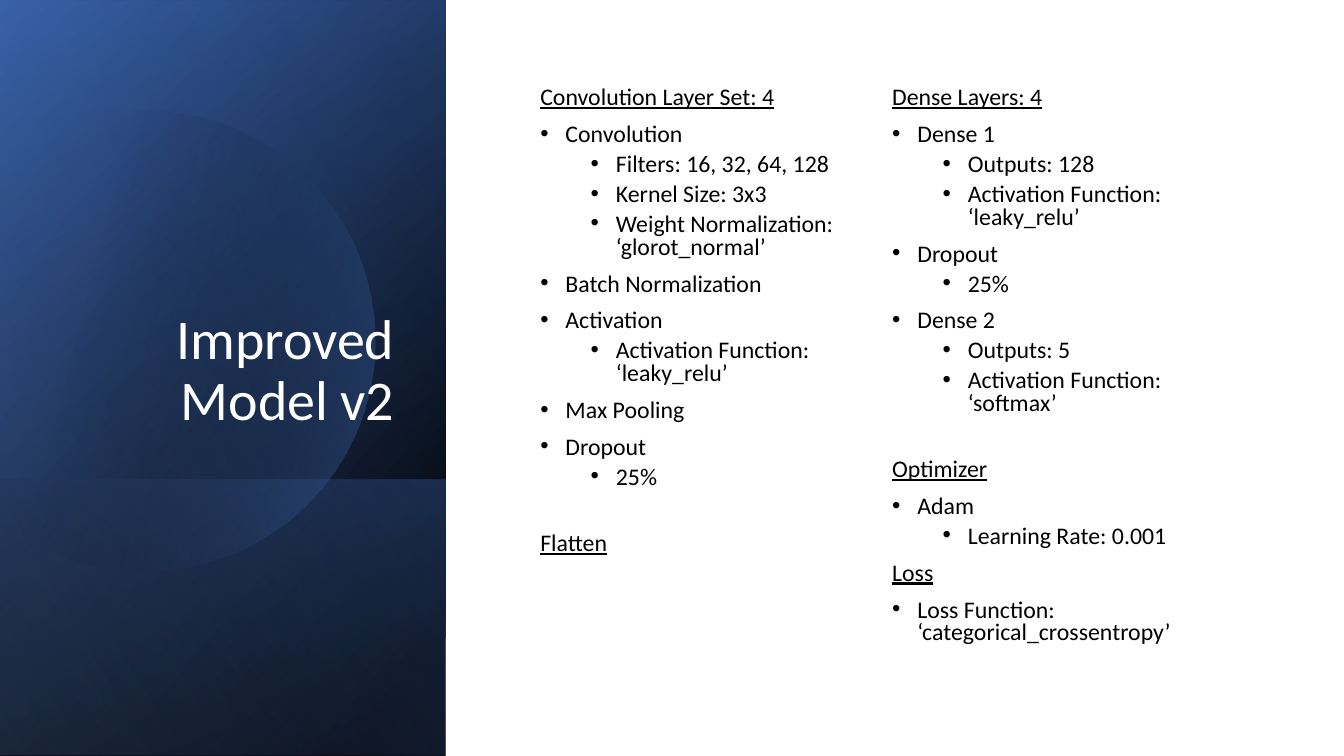
import pptx
import pptx.util
import pptx.dml.color
import pptx.enum.shapes
import pptx.enum.text
import pptx.oxml
import pptx.oxml.ns

Inches = pptx.util.Inches
Pt = pptx.util.Pt
ANCHOR = pptx.enum.text.MSO_ANCHOR
ALIGN = pptx.enum.text.PP_ALIGN
RECT = pptx.enum.shapes.MSO_SHAPE.RECTANGLE

HUES = {"white": "FFFFFF", "black": "000000", "navy": "2F5597",
        "blue": "4472C4", "pale": "8FAADC"}

# Paragraph formats by kind: heading, item, sub-item
STYLES = {
    "head": {"space_before": Pt(10), "line_spacing": 0.8},
    "item": {"space_before": Pt(10), "line_spacing": 0.8},
    "sub": {"space_before": Pt(5), "line_spacing": 0.8, "level": 1},
}
INDENTS = {"item": 0.25, "sub": 0.75}
GAP = Pt(31)  # space above a heading that starts a new group

# Panel layers: left, top, width, height, angle, stops (place, hue, opacity)
LAYERS = [
    (-1.54, 1.54, 7.5, 4.42, 50, [(8, "black", 100), (100, "navy", 100)]),
    (-1.54, 1.55, 7.5, 4.42, 30, [(0, "black", 0), (99, "blue", 46)]),
    (0.84, 3.92, 2.74, 4.42, 130, [(2, "blue", 29), (100, "black", 30)]),
]
SHEEN = (-1.54, 1.53, 7.5, 4.42, 120, [(0, "black", 0), (99, "pale", 11)])

# Disc outline: start, then curves, then the straight left edge
START = (1.49, 1.1)
CURVES = [
    [(2.46, 1.12), (3.35, 1.77), (3.63, 2.75)],
    [(3.98, 3.97), (3.28, 5.23), (2.07, 5.58)],
    [(1.31, 5.8), (0.53, 5.61), (-0.03, 5.14)],
    [(-0.08, 5.1), (-0.11, 5.07), (-0.15, 5.03)],
    [(-0.15, 4), (-0.15, 2.8), (-0.15, 1.75)],
    [(-0.1, 1.7), (-0.05, 1.66), (0, 1.61)],
    [(0.23, 1.42), (0.5, 1.28), (0.8, 1.19)],
    [(1.03, 1.13), (1.26, 1.1), (1.49, 1.1)],
]

LEFT = [
    ("head", "Convolution Layer Set: 4"),
    ("item", "Convolution"),
    ("sub", "Filters: 16, 32, 64, 128"),
    ("sub", "Kernel Size: 3x3"),
    ("sub", "Weight Normalization: ‘glorot_normal’"),
    ("item", "Batch Normalization"),
    ("item", "Activation"),
    ("sub", "Activation Function: ‘leaky_relu’"),
    ("item", "Max Pooling"),
    ("item", "Dropout"),
    ("sub", "25%"),
    ("head", "Flatten"),
]
RIGHT = [
    ("head", "Dense Layers: 4"),
    ("item", "Dense 1"),
    ("sub", "Outputs: 128"),
    ("sub", "Activation Function: ‘leaky_relu’"),
    ("item", "Dropout"),
    ("sub", "25%"),
    ("item", "Dense 2"),
    ("sub", "Outputs: 5"),
    ("sub", "Activation Function: ‘softmax’"),
    ("head", "Optimizer"),
    ("item", "Adam"),
    ("sub", "Learning Rate: 0.001"),
    ("head", "Loss"),
    ("item", "Loss Function: ‘categorical_crossentropy’"),
]


def apply(target, values):
    for name, value in values.items():
        setattr(target, name, value)


def color(name):
    return pptx.dml.color.RGBColor.from_string(HUES[name])


def blend(shape, angle, stops):
    """Fill a shape with a linear gradient that has see-through stops."""
    shape.shadow.inherit = False
    shape.line.fill.background()
    marks = "".join(
        f'<a:gs pos="{place * 1000}"><a:srgbClr val="{HUES[hue]}">'
        f'<a:alpha val="{alpha * 1000}"/></a:srgbClr></a:gs>'
        for place, hue, alpha in stops)
    fill = pptx.oxml.parse_xml(
        f'<a:gradFill {pptx.oxml.ns.nsdecls("a")} rotWithShape="1">'
        f'<a:gsLst>{marks}</a:gsLst>'
        f'<a:lin ang="{angle * 60000}" scaled="0"/></a:gradFill>')
    shape.fill.background()
    blank = shape.element.spPr.find(pptx.oxml.ns.qn("a:noFill"))
    blank.getparent().replace(blank, fill)


def layer(slide, left, top, width, height, angle, stops):
    box = map(Inches, (left, top, width, height))
    shape = slide.shapes.add_shape(RECT, *box)
    shape.rotation = 90
    shape.element.spPr.xfrm.set("flipH", "1")
    blend(shape, angle, stops)


def curve(first, second, third, last, steps=16):
    """Points along a cubic curve, without its first one."""
    for step in range(1, steps + 1):
        t = step / steps
        u = 1 - t
        yield tuple(Inches(u**3 * a + 3 * u * u * t * b + 3 * u * t * t * c + t**3 * d)
                    for a, b, c, d in zip(first, second, third, last))


def disc(slide):
    points, pen = [], START
    for bend in CURVES:
        points += curve(pen, *bend)
        pen = bend[-1]
    form = slide.shapes.build_freeform(*map(Inches, START))
    form.add_line_segments(points, close=True)
    blend(form.convert_to_shape(), 14, [(29, "black", 0), (100, "blue", 43)])


def frame(slide, box, anchor):
    text = slide.shapes.add_textbox(*map(Inches, box)).text_frame
    apply(text, {"word_wrap": True, "vertical_anchor": anchor})
    return text


def write(para, words, size, hue, under=False):
    run = para.add_run()
    run.text = words
    apply(run.font, {"name": "Calibri", "size": Pt(size), "underline": under})
    run.font.color.rgb = color(hue)


def bullet(para, indent):
    props = para._p.get_or_add_pPr()
    props.set("marL", str(Inches(indent)))
    props.set("indent", str(Inches(-0.25)))
    space = pptx.oxml.ns.nsdecls("a")
    props.append(pptx.oxml.parse_xml(f'<a:buFont {space} typeface="Arial"/>'))
    props.append(pptx.oxml.parse_xml(f'<a:buChar {space} char="•"/>'))


def column(slide, left, lines):
    text = frame(slide, (left, 0.82, 3.69, 5.96), ANCHOR.TOP)
    last = None
    for kind, words in lines:
        para = text.add_paragraph() if last else text.paragraphs[0]
        apply(para, STYLES[kind])
        if not last:
            para.space_before = Pt(0)
        elif kind == "head" and last == "sub" and words != "Loss":
            para.space_before = GAP
        if kind in INDENTS:
            bullet(para, INDENTS[kind])
        write(para, words, 17, "black", kind == "head")
        last = kind


def main():
    deck = pptx.Presentation()
    apply(deck, {"slide_width": Inches(13.33), "slide_height": Inches(7.5)})
    slide = deck.slides.add_slide(deck.slide_layouts[6])

    # Background
    fill = slide.background.fill
    fill.solid()
    fill.fore_color.rgb = color("white")

    # Blue side panel
    for spot in LAYERS:
        layer(slide, *spot)
    disc(slide)
    layer(slide, *SHEEN)

    # Title
    para = frame(slide, (0.51, 0.64, 3.5, 3.7), ANCHOR.BOTTOM).paragraphs[0]
    apply(para, {"alignment": ALIGN.RIGHT, "line_spacing": 0.9})
    write(para, "Improved Model v2", 40, "white")

    # Two text columns
    for left, lines in ((5.26, LEFT), (8.75, RIGHT)):
        column(slide, left, lines)

    deck.save("out.pptx")


if __name__ == "__main__":
    main()
